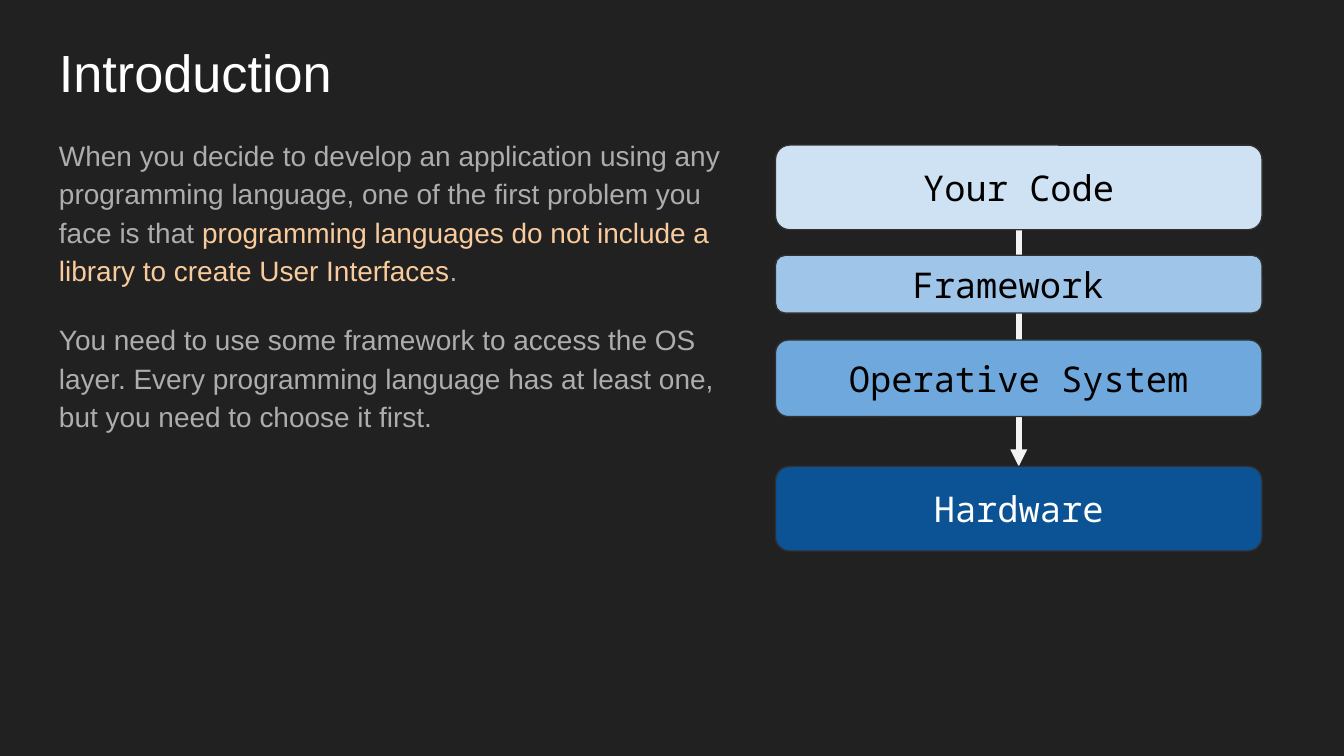
from dataclasses import dataclass
from lxml.etree import SubElement
from pptx import Presentation
from pptx.dml.color import RGBColor as RGB
from pptx.enum.shapes import MSO_CONNECTOR as Line, MSO_SHAPE as Shape
from pptx.enum.text import MSO_ANCHOR as Anchor, PP_ALIGN as Align
from pptx.oxml.ns import qn
from pptx.util import Inches, Pt


@dataclass(frozen=True)
class Theme:
    background: str = "212121"
    title: str = "FFFFFF"
    body: str = "ADADAD"
    accent: str = "F9CB9C"
    dark_text: str = "000000"
    outline: str = "303030"
    arrow: str = "F3F3F3"
    sans: str = "Arial"
    mono: str = "Noto Sans Mono"
    title_size: float = 28
    body_size: float = 15
    layer_size: float = 19


def write(frame, paragraphs, *, font, size, align=Align.LEFT,
          anchor=Anchor.TOP, spacing=None, gap=0):
    frame.word_wrap = True
    frame.vertical_anchor = anchor
    frame.margin_left = frame.margin_right = Inches(0.1)
    frame.margin_top = frame.margin_bottom = Inches(0.1)
    for index, runs in enumerate(paragraphs):
        paragraph = frame.add_paragraph() if index else frame.paragraphs[0]
        paragraph.alignment = align
        if spacing:
            paragraph.line_spacing = spacing
        if index:
            paragraph.space_before = Pt(gap)
        for text, color in runs:
            run = paragraph.add_run()
            run.text = text
            run.font.name = font
            run.font.size = Pt(size)
            run.font.color.rgb = RGB.from_string(color)


class Deck:
    COLUMNS, ROWS = 100, 56.25

    def __init__(self, theme):
        self.theme = theme
        self.show = Presentation()
        self.show.slide_width = Inches(10)
        self.show.slide_height = Inches(10) * 9 // 16
        self.slide = self.show.slides.add_slide(self.show.slide_layouts[6])
        fill = self.slide.background.fill
        fill.solid()
        fill.fore_color.rgb = RGB.from_string(theme.background)

    def place(self, column, row, columns, rows):
        across = self.show.slide_width / self.COLUMNS
        down = self.show.slide_height / self.ROWS
        return (round(column * across), round(row * down),
                round(columns * across), round(rows * down))

    def text(self, cell, paragraphs, **style):
        box = self.slide.shapes.add_textbox(*self.place(*cell))
        write(box.text_frame, paragraphs, font=self.theme.sans, **style)

    def arrow(self):
        arrow = self.slide.shapes.add_connector(Line.STRAIGHT, 0, 0, 0, 0)
        arrow.line.color.rgb = RGB.from_string(self.theme.arrow)
        arrow.line.width = Pt(3)
        SubElement(arrow.line._get_or_add_ln(), qn("a:tailEnd"), type="triangle")
        SubElement(arrow._element.spPr, qn("a:effectLst"))
        return arrow

    def layer(self, cell, label, fill, color):
        layer = self.slide.shapes.add_shape(Shape.ROUNDED_RECTANGLE, *self.place(*cell))
        layer.shadow.inherit = False
        layer.fill.solid()
        layer.fill.fore_color.rgb = RGB.from_string(fill)
        layer.line.color.rgb = RGB.from_string(self.theme.outline)
        layer.line.width = Pt(0.75)
        write(layer.text_frame, [[(label, color)]], font=self.theme.mono,
              size=self.theme.layer_size, align=Align.CENTER, anchor=Anchor.MIDDLE)
        return layer


def main():
    theme = Theme()
    deck = Deck(theme)
    access = deck.arrow()
    deck.text((3.4, 2, 46.6, 6.3), [[("Introduction", theme.title)]],
              size=theme.title_size)
    deck.text((3.4, 8.9, 52.1, 44.2), [
        [("When you decide to develop an application using any programming "
          "language, one of the first problem you face is that ", theme.body),
         ("programming languages do not include a library to create User "
          "Interfaces", theme.accent),
         (".", theme.body)],
        [("You need to use some framework to access the OS layer. Every "
          "programming language has at least one, but you need to choose it "
          "first.", theme.body)],
    ], size=theme.body_size, spacing=1.15, gap=16)

    stack = [
        ("Your Code", 6.3, 1.9, "CFE2F3", theme.dark_text),
        ("Framework ", 4.3, 2, "9FC5E8", theme.dark_text),
        ("Operative System", 5.7, 3.7, "6FA8DC", theme.dark_text),
        ("Hardware", 6.3, 0, "0B5394", theme.title),
    ]
    top, layers = 10.8, []
    for label, height, gap_below, fill, color in stack:
        layers.append(deck.layer((57.7, top, 36.2, height), label, fill, color))
        top += height + gap_below
    access.begin_connect(layers[0], 2)
    access.end_connect(layers[-1], 0)
    deck.show.save("out.pptx")


if __name__ == "__main__":
    main()
